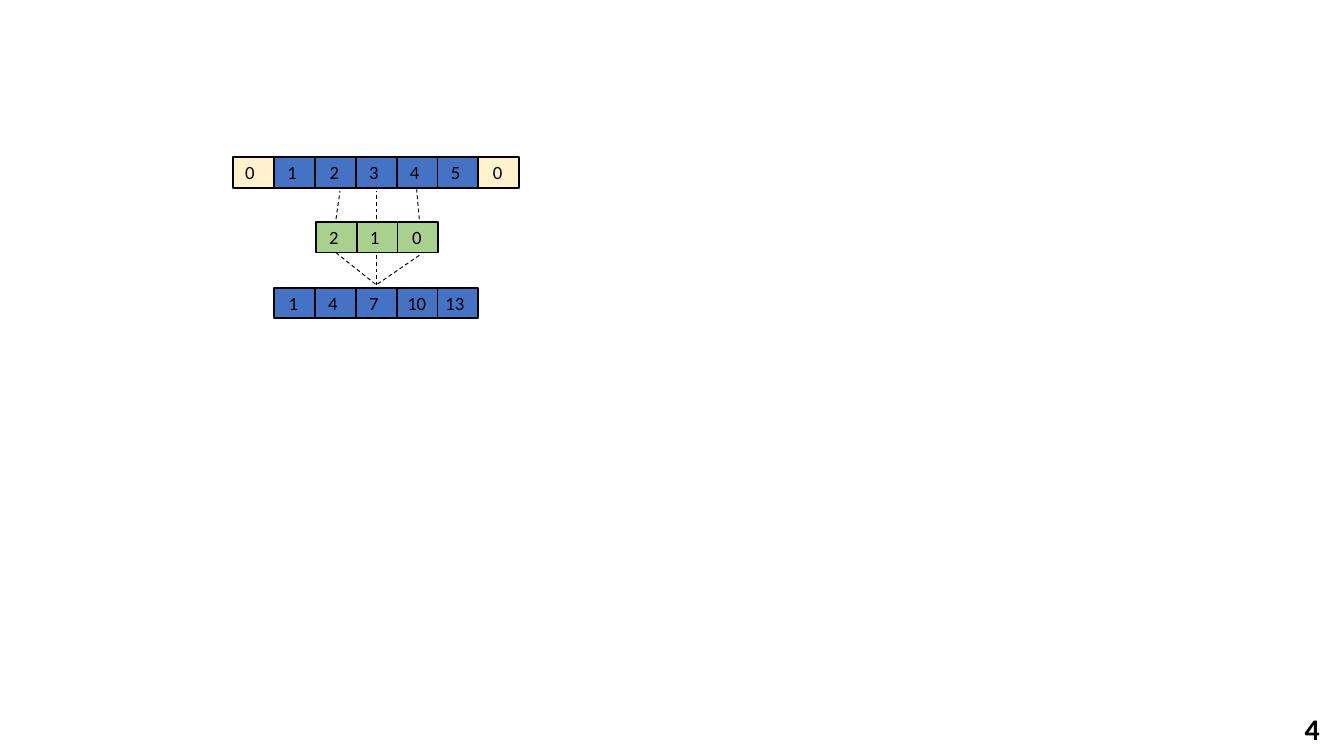
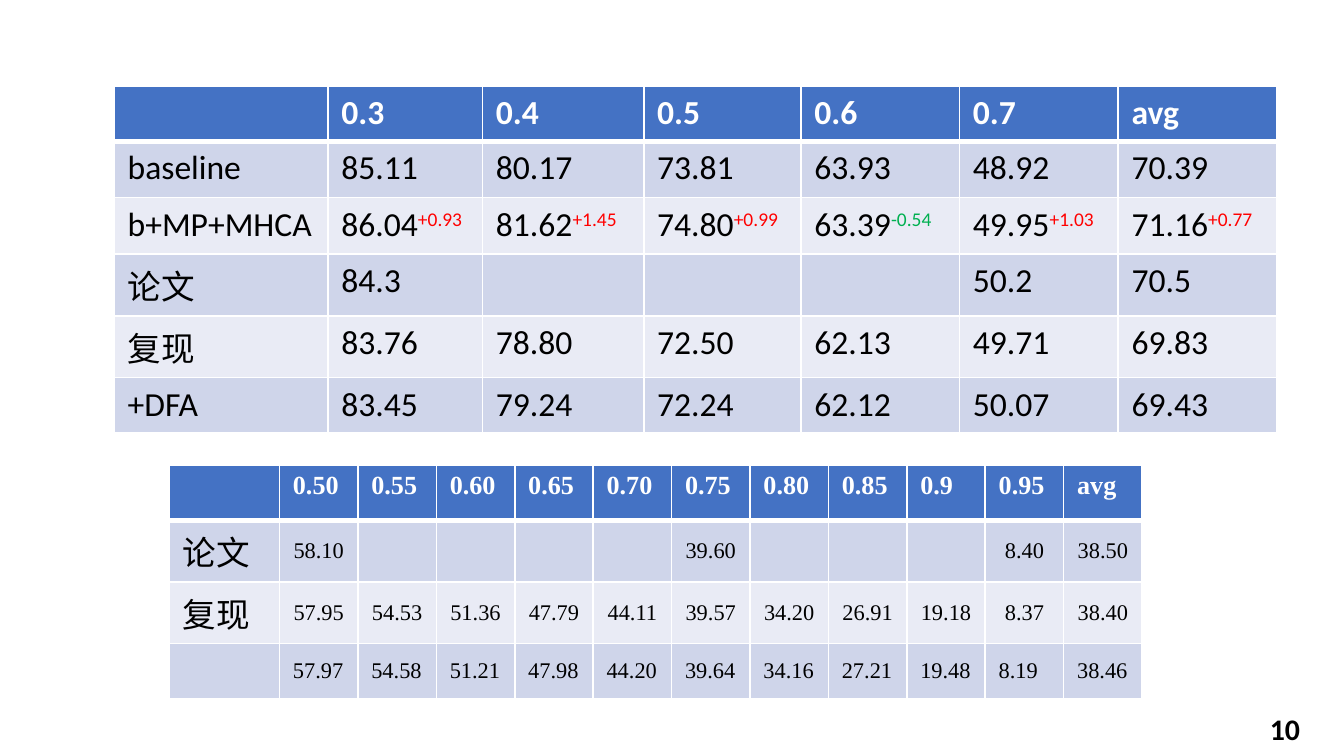
from dataclasses import dataclass

from lxml import etree
from pptx import Presentation
from pptx import util as u
from pptx.dml.color import RGBColor
from pptx.enum import dml, shapes, text
from pptx.oxml import ns


@dataclass(frozen=True)
class Theme:
    sans: str = "Calibri"
    serif: str = "Times New Roman"
    black: str = "000000"
    white: str = "FFFFFF"
    blue: str = "4472C4"
    cream: str = "FFF2CC"
    green: str = "A9D18E"
    bands: tuple = ("CFD5EA", "E9EBF5")
    gain: str = "FF0000"
    loss: str = "00B050"
    digit_size: int = 10
    number_size: int = 16
    table_size: int = 18
    header_size: int = 14
    value_size: int = 12


THEME = Theme()

# Convolution diagram: each cell is (value, label nudge, label width)
CELL_PITCH = (3.56 - 2.04) / 5
CELL_HEIGHT = 0.23
INPUT = [("0", -0.01, 0.3), ("1", 0, 0.61), ("2", 0.01, 0.35), ("3", 0, 0.3),
         ("4", 0, 0.3), ("5", 0, 0.3), ("0", 0.01, 0.3)]
KERNEL = [("2", 0, 0.3), ("1", 0, 0.3), ("0", 0.01, 0.3)]
OUTPUT = [("1", 0.01, 0.3), ("4", 0, 0.3), ("7", 0, 0.3),
          ("10", -0.02, 0.38), ("13", -0.04, 0.37)]
# Rows: left, top, cells, fills
DIAGRAM = [
    (2.04 - CELL_PITCH, 1.17, INPUT, [THEME.cream] + [THEME.blue] * 5 + [THEME.cream]),
    (2.35, 1.65, KERNEL, [THEME.green] * 3),
    (2.04, 2.14, OUTPUT, [THEME.blue] * 5),
]
SUM_POINT = (2.8, 2.12)
LINKS = [
    ((2.5, 1.63), (2.53, 1.42)),
    ((2.8, 1.63), (2.8, 1.42)),
    ((3.12, 1.63), (3.1, 1.41)),
    ((2.5, 1.88), SUM_POINT),
    ((2.8, 1.9), SUM_POINT),
    ((3.12, 1.9), SUM_POINT),
]

# Result tables: a pair is a value with its change
ABLATION = [
    ["", "0.3", "0.4", "0.5", "0.6", "0.7", "avg"],
    ["baseline", "85.11", "80.17", "73.81", "63.93", "48.92", "70.39"],
    ["b+MP+MHCA", ("86.04", "+0.93"), ("81.62", "+1.45"), ("74.80", "+0.99"),
     ("63.39", "-0.54"), ("49.95", "+1.03"), ("71.16", "+0.77")],
    ["论文", "84.3", "", "", "", "50.2", "70.5"],
    ["复现", "83.76", "78.80", "72.50", "62.13", "49.71", "69.83"],
    ["+DFA", "83.45", "79.24", "72.24", "62.12", "50.07", "69.43"],
]
ABLATION_WIDTHS = [1.59, 1.15, 1.2, 1.17, 1.18, 1.18, 1.18]
ABLATION_HEIGHTS = [0.41, 0.42, 0.42, 0.46, 0.46, 0.41]
THRESHOLDS = [
    ["", "0.50", "0.55", "0.60", "0.65", "0.70", "0.75", "0.80", "0.85", "0.9", "0.95", "avg"],
    ["论文", "58.10", "", "", "", "", "39.60", "", "", "", "8.40", "38.50"],
    ["复现", "57.95", "54.53", "51.36", "47.79", "44.11", "39.57", "34.20", "26.91", "19.18",
     "8.37", "38.40"],
    ["", "57.97", "54.58", "51.21", "47.98", "44.20", "39.64", "34.16", "27.21", "19.48",
     "8.19", "38.46"],
]
THRESHOLD_WIDTHS = [0.82] + [(7.24 - 0.82) / 11] * 11
THRESHOLD_HEIGHTS = [0.41, 0.46, 0.46, 0.41]


def rgb(color):
    return RGBColor.from_string(color)


def set_font(para, size, color=THEME.black, bold=False, name=THEME.sans):
    font = para.font
    font.name, font.size, font.bold = name, u.Pt(size), bold
    font.color.rgb = rgb(color)


def add_label(page, wording, left, top, width, height, size, bold=False):
    box = page.shapes.add_textbox(*map(u.Inches, (left, top, width, height)))
    box.text_frame.word_wrap = True
    para = box.text_frame.paragraphs[0]
    para.text = wording
    set_font(para, size, bold=bold)


def add_page(deck, number, left, width):
    page = deck.slides.add_slide(deck.slide_layouts[6])
    add_label(page, number, left, 5.24, width, 0.32, THEME.number_size, bold=True)
    return page


def add_cells(page, left, top, cells, fills):
    for i, ((value, nudge, width), fill) in enumerate(zip(cells, fills)):
        x = left + i * CELL_PITCH
        box = page.shapes.add_shape(
            shapes.MSO_SHAPE.RECTANGLE,
            *map(u.Inches, (x, top, CELL_PITCH, CELL_HEIGHT)))
        box.shadow.inherit = False
        box.fill.solid()
        box.fill.fore_color.rgb = rgb(fill)
        box.line.color.rgb = rgb(THEME.black)
        box.line.width = u.Pt(1)
        add_label(page, value, x + nudge, top - 0.02, width, 0.27, THEME.digit_size)


def add_link(page, start, end):
    link = page.shapes.add_connector(
        shapes.MSO_CONNECTOR.STRAIGHT, *map(u.Inches, start + end))
    link.line.color.rgb = rgb(THEME.black)
    link.line.width = u.Pt(0.5)
    link.line.dash_style = dml.MSO_LINE.DASH
    etree.SubElement(link._element.spPr, ns.qn("a:effectLst"))


def set_borders(cell, widths):
    """Draw white borders; widths maps a side (L, R, T, B, in this order) to points."""
    props = cell._tc.get_or_add_tcPr()
    for i, (side, width) in enumerate(widths.items()):
        line = etree.Element(ns.qn(f"a:ln{side}"), w=str(u.Pt(width)))
        fill = etree.SubElement(line, ns.qn("a:solidFill"))
        etree.SubElement(fill, ns.qn("a:srgbClr"), val=THEME.white)
        props.insert(i, line)


def add_results(page, left, top, height, rows, widths, heights, name,
                header_size, value_size, middle):
    """Fill a banded table; middle anchors the values, centred except in the last row."""
    frame = page.shapes.add_table(
        len(rows), len(widths), *map(u.Inches, (left, top, sum(widths), height)))
    table = frame.table
    for column, width in zip(table.columns, widths):
        column.width = u.Inches(width)
    for line, row_height in zip(table.rows, heights):
        line.height = u.Inches(row_height)
    frame.height = u.Inches(height)
    for r, row in enumerate(rows):
        for c, entry in enumerate(row):
            cell = table.cell(r, c)
            cell.fill.solid()
            cell.fill.fore_color.rgb = rgb(THEME.bands[(r - 1) % 2] if r else THEME.blue)
            set_borders(cell, {"L": 1, "R": 1, "B": 1} if r
                        else {"L": 1, "R": 1, "T": 1, "B": 3})
            if not entry:
                continue
            value, change = entry if isinstance(entry, tuple) else (entry, None)
            para = cell.text_frame.paragraphs[0]
            para.add_run().text = value
            if r == 0:
                set_font(para, header_size, THEME.white, True, name)
            else:
                set_font(para, value_size if c else THEME.table_size, name=name)
            if change:
                span = para.add_run()
                span.text = change
                span.font.color.rgb = rgb(THEME.loss if change[0] == "-" else THEME.gain)
                span._r.get_or_add_rPr().set("baseline", "30000")
            if middle and r and c:
                cell.vertical_anchor = text.MSO_ANCHOR.MIDDLE
                if r < len(rows) - 1:
                    para.alignment = text.PP_ALIGN.CENTER


def main():
    deck = Presentation()
    deck.slide_width = u.Inches(10)
    deck.slide_height = deck.slide_width * 9 // 16

    # Convolution diagram
    page = add_page(deck, "4", 9.61, 0.3)
    for left, top, cells, fills in DIAGRAM:
        add_cells(page, left, top, cells, fills)
    for start, end in LINKS:
        add_link(page, start, end)

    # Result tables
    page = add_page(deck, "10", 9.35, 0.57)
    add_results(page, 0.85, 0.64, 3.74, ABLATION, ABLATION_WIDTHS, ABLATION_HEIGHTS,
                THEME.sans, THEME.table_size, THEME.table_size, middle=False)
    add_results(page, 1.26, 3.46, 1.67, THRESHOLDS, THRESHOLD_WIDTHS, THRESHOLD_HEIGHTS,
                THEME.serif, THEME.header_size, THEME.value_size, middle=True)

    deck.save("out.pptx")


if __name__ == "__main__":
    main()
